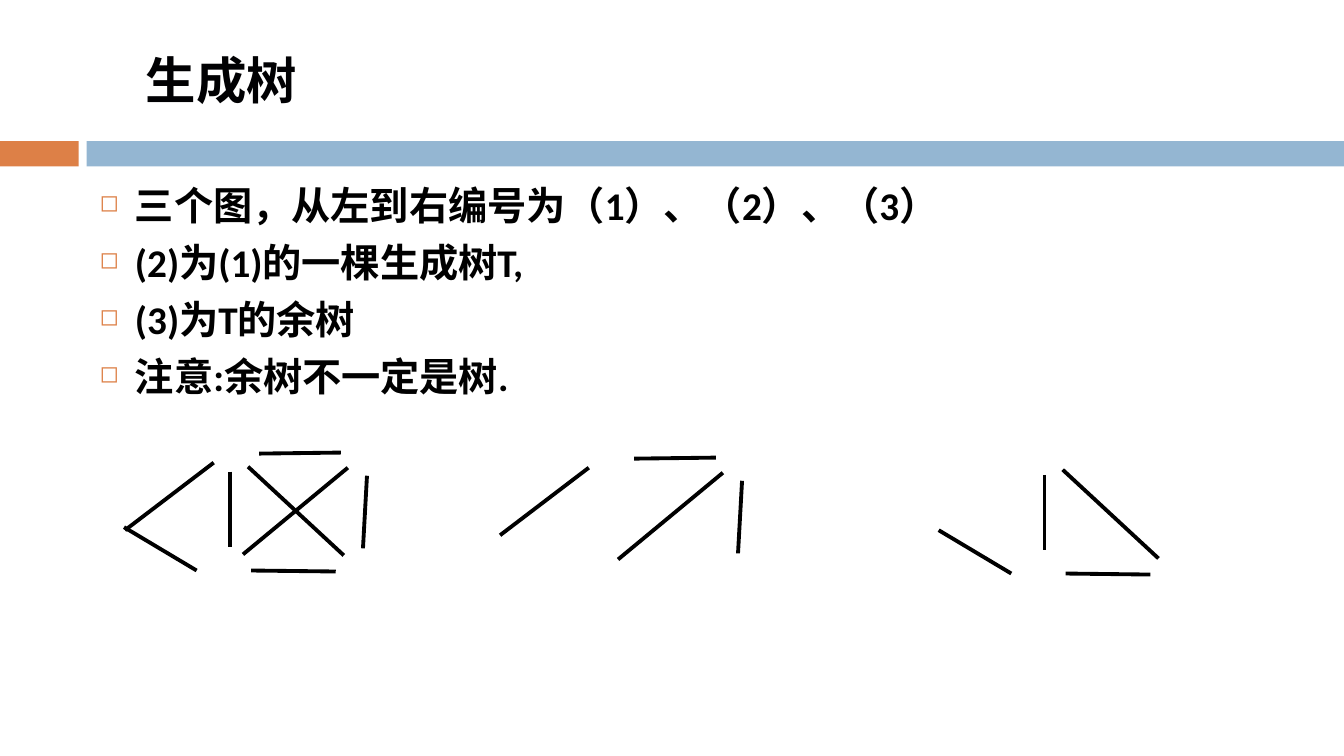
from lxml.etree import SubElement
from pptx import Presentation
from pptx.dml.color import RGBColor
from pptx.enum.shapes import MSO_CONNECTOR, MSO_SHAPE
from pptx.enum.text import MSO_ANCHOR, PP_ALIGN
from pptx.oxml.ns import qn
from pptx.util import Inches, Pt

TITLE = "生成树"
POINTS = [
    "三个图，从左到右编号为（1）、（2）、（3）",
    "(2)为(1)的一棵生成树T,",
    "(3)为T的余树",
    "注意:余树不一定是树.",
]
ORANGE, BLUE, BLACK = "DD8047", "94B6D2", "000000"
BANDS = [(0, 0.78, ORANGE), (0.86, 12.47, BLUE)]  # left, width, colour

# Edges of graph (1): start x, start y, end x, end y
TREE_EDGES = [
    (2.12, 4.59, 1.24, 5.26),
    (2.57, 4.5, 3.38, 4.49),
    (3.45, 4.64, 2.41, 5.5),
    (3.64, 4.72, 3.6, 5.44),
]
COTREE_EDGES = [
    (2.46, 4.63, 3.41, 5.51),
    (2.28, 4.68, 2.28, 5.43),
    (1.23, 5.23, 1.95, 5.66),
    (2.49, 5.66, 3.33, 5.67),
]
GRAPHS = [  # edges, shift right, shift down
    (TREE_EDGES + COTREE_EDGES, 0, 0),
    (TREE_EDGES, 3.72, 0.05),
    (COTREE_EDGES, 8.08, 0.03),
]


def colour(value):
    return RGBColor.from_string(value)


def add_bullet(paragraph, symbol, hex_colour, percent, indent):
    properties = paragraph._p.get_or_add_pPr()
    properties.set("marL", str(Inches(indent)))
    properties.set("indent", str(-Inches(indent)))
    bullet_colour = SubElement(properties, qn("a:buClr"))
    SubElement(bullet_colour, qn("a:srgbClr"), val=hex_colour)
    SubElement(properties, qn("a:buSzPct"), val=str(percent * 1000))
    SubElement(properties, qn("a:buChar"), char=symbol)


def add_text(slide, lines, box, size, font, text_colour=BLACK,
             anchor=MSO_ANCHOR.TOP, bullet=None, space_before=0):
    frame = slide.shapes.add_textbox(*map(Inches, box)).text_frame
    frame.word_wrap = True
    frame.vertical_anchor = anchor
    for index, line in enumerate(lines):
        paragraph = frame.add_paragraph() if index else frame.paragraphs[0]
        if bullet:
            add_bullet(paragraph, bullet, ORANGE, percent=60, indent=0.35)
        if index:
            paragraph.space_before = Pt(space_before)
        paragraph.alignment = PP_ALIGN.LEFT
        run = paragraph.add_run()
        run.text = line
        run.font.size = Pt(size)
        run.font.name = font
        run.font.bold = True
        run.font.color.rgb = colour(text_colour)


def add_band(slide, left, width, fill):
    shape = slide.shapes.add_shape(
        MSO_SHAPE.RECTANGLE, Inches(left), Inches(1.4), Inches(width), Inches(0.25))
    shape.shadow.inherit = False
    shape.fill.solid()
    shape.fill.fore_color.rgb = colour(fill)
    shape.line.fill.background()


def add_graph(slide, edges, right, down):
    group = slide.shapes.add_group_shape()
    for start_x, start_y, end_x, end_y in edges:
        edge = group.shapes.add_connector(
            MSO_CONNECTOR.STRAIGHT,
            Inches(start_x + right), Inches(start_y + down),
            Inches(end_x + right), Inches(end_y + down))
        edge.line.color.rgb = colour(BLACK)
        edge.line.width = Pt(2.75)
        SubElement(edge._element.spPr, qn("a:effectLst"))


def main():
    presentation = Presentation()
    presentation.slide_width = Inches(13.33)
    presentation.slide_height = Inches(7.5)
    slide = presentation.slides.add_slide(presentation.slide_layouts[6])
    for band in BANDS:
        add_band(slide, *band)
    add_text(slide, [TITLE], (1.35, 0.25, 10.67, 1.08), 36, "Times New Roman",
             text_colour="010103", anchor=MSO_ANCHOR.MIDDLE)
    add_text(slide, POINTS, (0.89, 1.75, 11.89, 4.92), 28, "Calibri",
             bullet="◻", space_before=7)
    for graph in GRAPHS:
        add_graph(slide, *graph)
    presentation.save("out.pptx")


if __name__ == "__main__":
    main()
